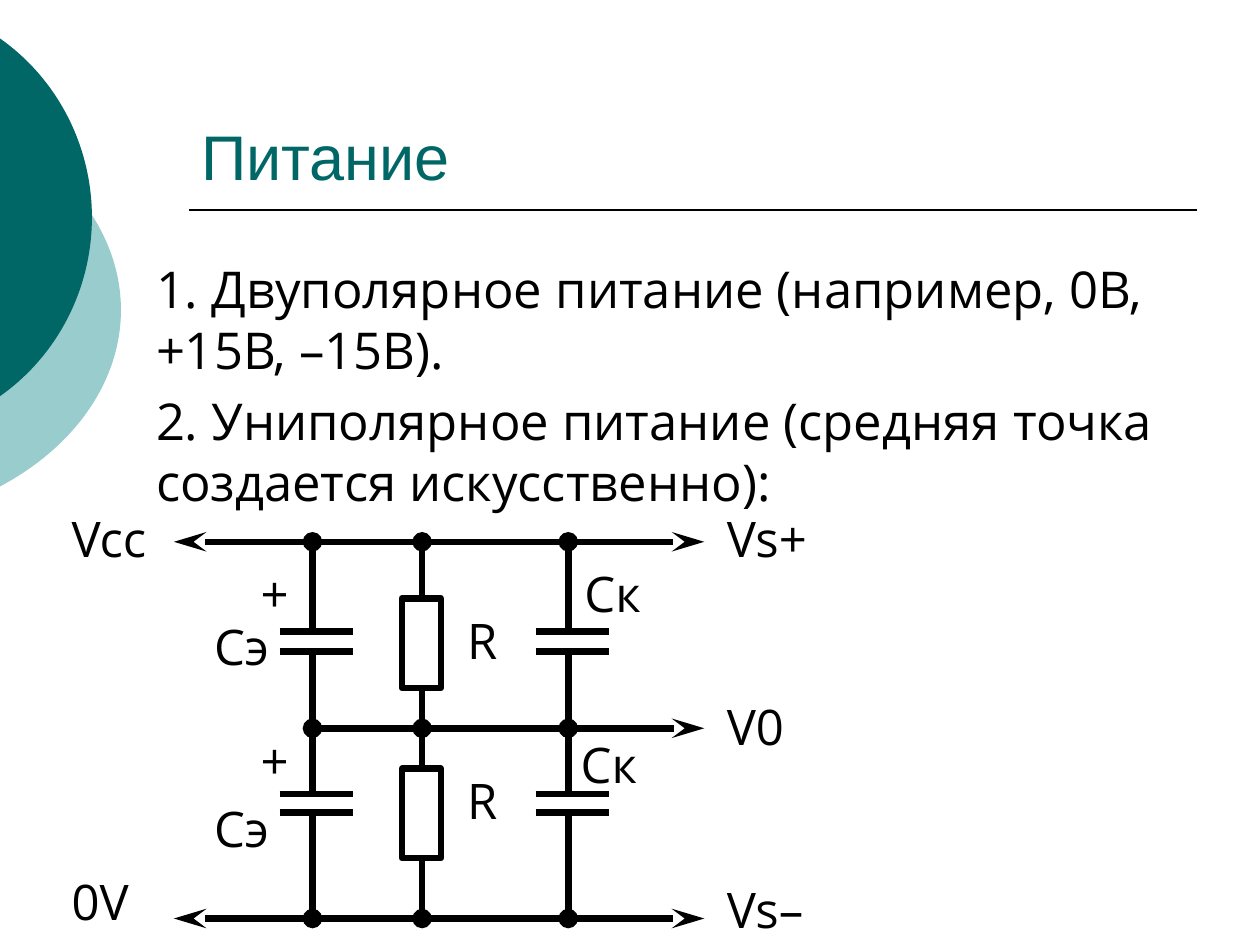
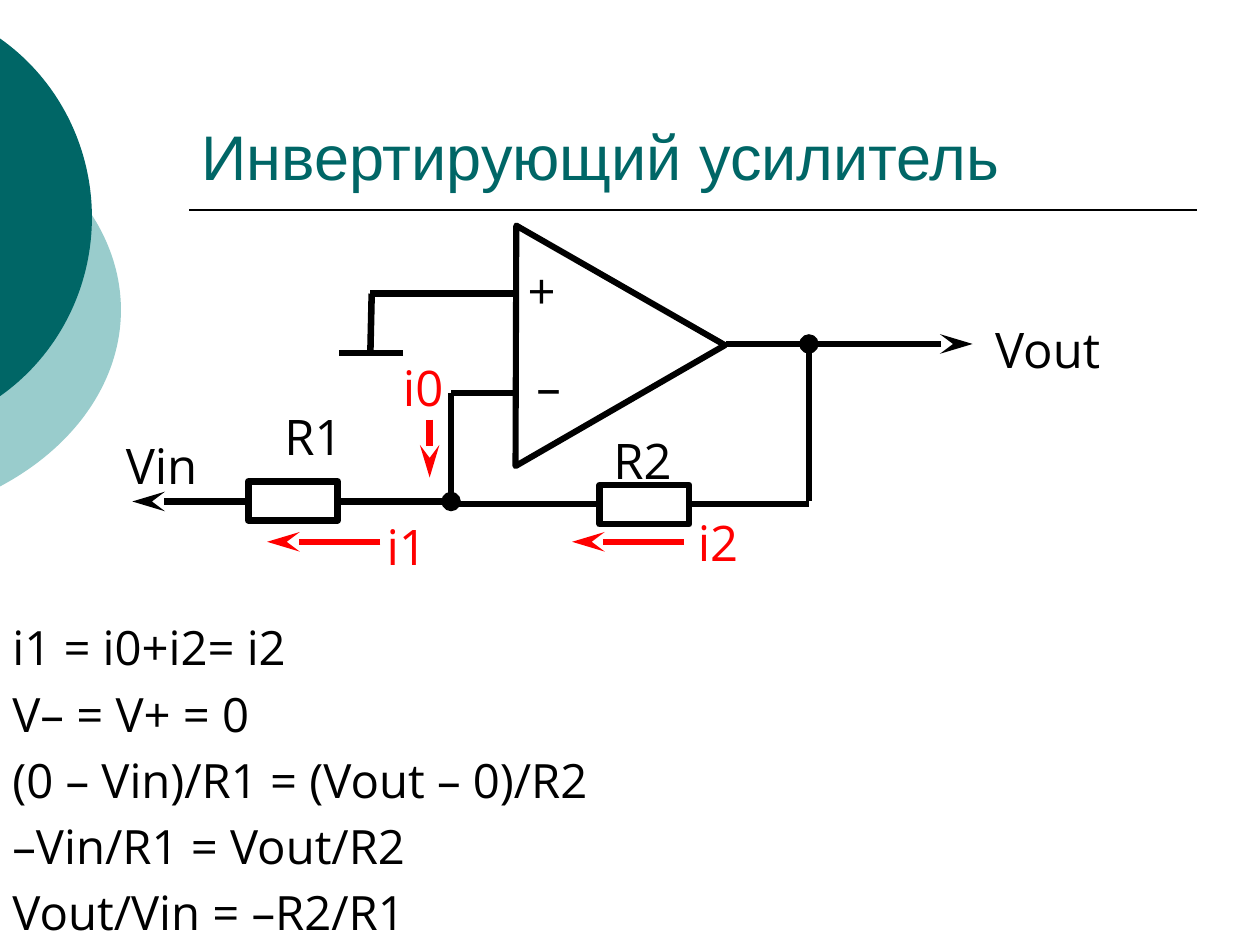
"""Build two slides on operational amplifier supply and the inverting amplifier."""

from lxml.etree import SubElement
from pptx import Presentation
from pptx.dml.color import RGBColor
from pptx.enum.shapes import MSO_CONNECTOR, MSO_SHAPE
from pptx.enum.text import MSO_ANCHOR
from pptx.oxml.ns import qn
from pptx.util import Inches, Pt

TEAL = RGBColor(0x00, 0x66, 0x66)
PALE_TEAL = RGBColor(0x99, 0xCC, 0xCC)
BLACK = RGBColor(0x00, 0x00, 0x00)
RED = RGBColor(0xFF, 0x00, 0x00)
HEADING_FONT = "Arial"
BODY_FONT = "Open Sans"
WIRE = 3.75
RULE_TOP = 5 / 3
ADJUSTMENT_PER_DEGREE = 0.6
RESISTOR_WIDTH, RESISTOR_HEIGHT = 0.31, 0.71


def write_text(frame, text, size=28, font=BODY_FONT, color=BLACK,
               anchor=MSO_ANCHOR.TOP, before=0):
    frame.word_wrap = True
    frame.vertical_anchor = anchor
    for index, line in enumerate(text.split("\n")):
        paragraph = frame.paragraphs[0] if index == 0 else frame.add_paragraph()
        paragraph.space_before = Pt(before)
        run = paragraph.add_run()
        run.text = line
        run.font.size = Pt(size)
        run.font.name = font
        run.font.color.rgb = color


class Deck:
    def __init__(self):
        self.presentation = Presentation()
        self.presentation.slide_width = Inches(10)
        self.presentation.slide_height = Inches(7.5)
        self.slide = None

    def start_slide(self, title):
        self.slide = self.presentation.slides.add_slide(
            self.presentation.slide_layouts[6])
        self.disc(PALE_TEAL, -3.54, 0.75, 4.5, 3.42, half_angle=47.3)
        self.disc(TEAL, -2.65, 0, 3.38, 3.45, half_angle=56)
        self.line((1.5, RULE_TOP), (9.5, RULE_TOP), width=1)
        self.text(title, 1.5, 0.33, 8, 1.25, size=36, font=HEADING_FONT,
                  color=TEAL, anchor=MSO_ANCHOR.BOTTOM)

    def add_shape(self, kind, left, top, width, height):
        shape = self.slide.shapes.add_shape(
            kind, Inches(left), Inches(top), Inches(width), Inches(height))
        shape.shadow.inherit = False
        return shape

    def disc(self, color, left, top, width, height, half_angle):
        shape = self.add_shape(MSO_SHAPE.CHORD, left, top, width, height)
        shape.adjustments[0] = (360 - half_angle) * ADJUSTMENT_PER_DEGREE
        shape.adjustments[1] = half_angle * ADJUSTMENT_PER_DEGREE
        shape.fill.solid()
        shape.fill.fore_color.rgb = color
        shape.line.fill.background()

    def text(self, text, left, top, width=1.34, height=0.57, **style):
        box = self.slide.shapes.add_textbox(
            Inches(left), Inches(top), Inches(width), Inches(height))
        write_text(box.text_frame, text, **style)

    def line(self, start, end, color=BLACK, width=WIRE, head=None, tail=None):
        connector = self.slide.shapes.add_connector(
            MSO_CONNECTOR.STRAIGHT, *(Inches(value) for value in start + end))
        connector.line.color.rgb = color
        connector.line.width = Pt(width)
        properties = connector.line._get_or_add_ln()
        for tag, kind in (("a:headEnd", head), ("a:tailEnd", tail)):
            if kind:
                length = "lg" if kind == "stealth" else "med"
                SubElement(properties, qn(tag), type=kind, w="med", len=length)
        SubElement(connector._element.spPr, qn("a:effectLst"))

    def outline(self, kind, left, top, width, height, rotation=0, weight=WIRE):
        shape = self.add_shape(kind, left, top, width, height)
        shape.rotation = rotation
        shape.fill.background()
        shape.line.color.rgb = BLACK
        shape.line.width = Pt(weight)
        SubElement(shape.line._get_or_add_ln(), qn("a:round"))

    def resistor(self, left, top, rotation=0):
        self.outline(MSO_SHAPE.RECTANGLE, left, top,
                     RESISTOR_WIDTH, RESISTOR_HEIGHT, rotation)

    def capacitor_plates(self, x, levels):
        for y in levels:
            self.line((x - 0.26, y), (x + 0.32, y))


def build_supply(deck):
    deck.start_slide("Питание")
    deck.text("1. Двуполярное питание (например, 0В, +15В, –15В).\n"
              "2. Униполярное питание (средняя точка создается искусственно):",
              1.14, 2, 8.36, 2.38, size=29, before=5.8)
    top, middle, bottom = 4.3, 5.78, 7.29
    electrolytic, divider, ceramic = 2.48, 3.35, 4.51
    upper_plates, lower_plates = (5.01, 5.17), (6.3, 6.45)
    upper_resistor, lower_resistor = 4.75, 6.1
    for y in (top, bottom):
        deck.line((1.38, y), (5.59, y), head="stealth", tail="stealth")
    deck.line((electrolytic, middle), (3.32, middle), head="oval")
    deck.line((divider, middle), (5.59, middle), head="oval", tail="stealth")
    deck.line((ceramic, middle), (5.35, middle), head="oval")
    for x in (electrolytic, ceramic):
        deck.capacitor_plates(x, upper_plates + lower_plates)
        deck.line((x, top), (x, upper_plates[0]), head="oval")
        deck.line((x, lower_plates[0]), (x, upper_plates[1]))
        deck.line((x, bottom), (x, lower_plates[1]), head="oval")
    for y in (upper_resistor, lower_resistor):
        deck.resistor(3.19, y)
    deck.line((divider, top), (divider, 4.77), head="oval")
    deck.line((divider, lower_resistor), (divider, upper_resistor + RESISTOR_HEIGHT))
    deck.line((divider, bottom), (divider, lower_resistor + RESISTOR_HEIGHT), head="oval")
    for label, left, label_top in (
            ("+", 1.97, 4.42), ("+", 1.97, 5.75), ("R", 3.61, 4.8), ("R", 3.61, 6.07),
            ("Vcc", 0.47, 3.99), ("0V", 0.47, 6.87),
            ("Vs+", 5.67, 3.99), ("V0", 5.67, 5.48), ("Vs–", 5.67, 6.93)):
        deck.text(label, left, label_top)
    for label, left, label_top in (("Сэ", 1.6, 4.84), ("Сэ", 1.6, 6.29),
                                   ("Ск", 4.54, 4.42), ("Ск", 4.51, 5.78)):
        deck.text(label, left, label_top, width=0.88)


def build_inverting_amplifier(deck):
    deck.start_slide("Инвертирующий усилитель")
    deck.outline(MSO_SHAPE.ISOSCELES_TRIANGLE, 3.55, 1.68, 1.92, 1.65,
                 rotation=330, weight=3.5)
    deck.line((7.72, 2.73), (5.76, 2.73), head="stealth")
    deck.line((6.42, 2.73), (6.42, 3.98), head="oval")
    deck.line((3.58, 3.98), (2.69, 3.98), head="oval")
    deck.line((1.95, 3.98), (1.05, 3.98), tail="stealth")
    for start, end in (
            ((4.09, 2.33), (2.94, 2.33)), ((2.95, 2.33), (2.94, 2.78)),
            ((3.2, 2.8), (2.69, 2.8)), ((4.09, 3.12), (3.58, 3.12)),
            ((3.58, 3.12), (3.58, 4)), ((4.76, 4), (3.58, 4)), ((6.42, 4), (5.48, 4))):
        deck.line(start, end)
    deck.resistor(2.17, 3.62, rotation=270)
    deck.resistor(4.96, 3.65, rotation=270)
    for start, end in (((3.02, 4.3), (2.12, 4.3)), ((5.43, 4.3), (4.54, 4.3)),
                       ((3.41, 3.33), (3.41, 3.79))):
        deck.line(start, end, color=RED, tail="stealth")
    for label, left, top in (
            ("+", 4.09, 2.02), ("–", 4.16, 2.78), ("Vin", 0.9, 3.41),
            ("Vout", 7.8, 2.49), ("R1", 2.16, 3.18), ("R2", 4.77, 3.37)):
        deck.text(label, left, top)
    for label, left, top in (("i0", 3.1, 2.79), ("i1", 2.97, 4.05), ("i2", 5.44, 4.02)):
        deck.text(label, left, top, color=RED)
    deck.text("i1 = i0+i2= i2\nV– = V+ = 0\n(0 – Vin)/R1 = (Vout – 0)/R2\n"
              "–Vin/R1 = Vout/R2\nVout/Vin = –R2/R1",
              0, 4.86, 10, 2.68, size=27, before=5.4)


deck = Deck()
build_supply(deck)
build_inverting_amplifier(deck)
deck.presentation.save("out.pptx")
